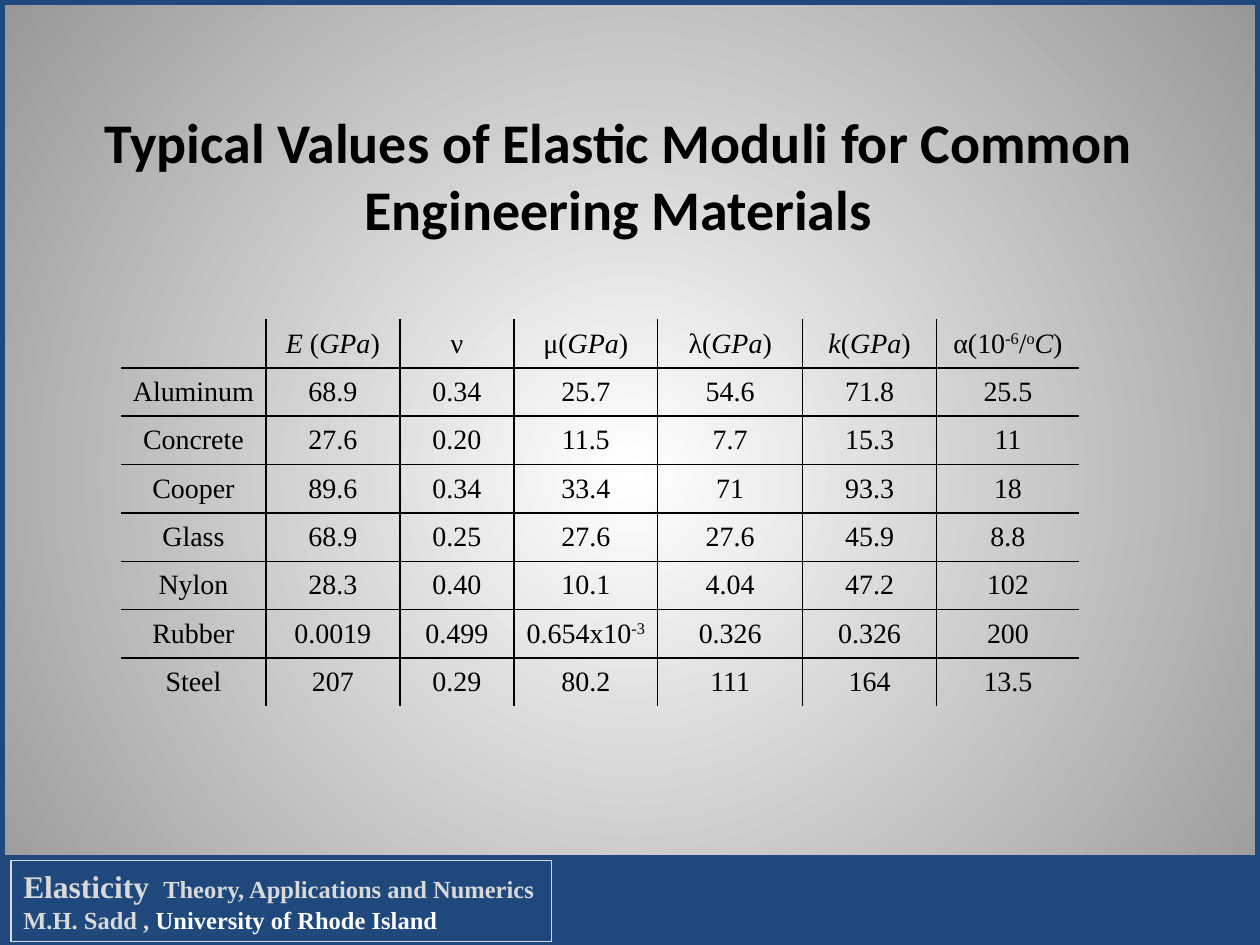
from lxml import etree
from pptx import Presentation
from pptx.dml.color import RGBColor
from pptx.enum.shapes import MSO_SHAPE
from pptx.enum.text import MSO_ANCHOR, PP_ALIGN
from pptx.oxml.ns import qn
from pptx.util import Cm, Pt

RECT = MSO_SHAPE.RECTANGLE
MIDDLE = MSO_ANCHOR.MIDDLE
LEFT, CENTER = PP_ALIGN.LEFT, PP_ALIGN.CENTER

BLACK = RGBColor(0x00, 0x00, 0x00)
WHITE = RGBColor(0xFF, 0xFF, 0xFF)
GRAY = RGBColor(0x97, 0x97, 0x97)
NAVY = RGBColor(0x1F, 0x49, 0x7D)
SILVER = RGBColor(0xD9, 0xD9, 0xD9)

SERIF = "Times New Roman"
ITALIC = {"italic": True}
SUPER = {"baseline": 30}
GPA = [("GPa", ITALIC), (")", {})]

COLUMN_WIDTHS = [2.92, 2.7, 2.3, 2.9, 2.92, 2.7, 2.88]
ROW_HEIGHT = 0.975
MODULI = [
    ["", [("E", ITALIC), (" (", {}), *GPA], "ν", [("μ(", {}), *GPA],
     [("λ(", {}), *GPA], [("k", ITALIC), ("(", {}), *GPA],
     [("α(10", {}), ("-6", SUPER), ("/", {}), ("o", SUPER), ("C", ITALIC), (")", {})]],
    ["Aluminum", "68.9", "0.34", "25.7", "54.6", "71.8", "25.5"],
    ["Concrete", "27.6", "0.20", "11.5", "7.7", "15.3", "11"],
    ["Cooper", "89.6", "0.34", "33.4", "71", "93.3", "18"],
    ["Glass", "68.9", "0.25", "27.6", "27.6", "45.9", "8.8"],
    ["Nylon", "28.3", "0.40", "10.1", "4.04", "47.2", "102"],
    ["Rubber", "0.0019", "0.499", [("0.654x10", {}), ("-3", SUPER)], "0.326", "0.326", "200"],
    ["Steel", "207", "0.29", "80.2", "111", "164", "13.5"],
]


def add_text(p, text, font=SERIF, size=16, color=BLACK, bold=False, italic=False,
             baseline=0, spacing=0, align=CENTER):
    p.alignment = align
    r = p.add_run()
    r.text = text
    r.font.name, r.font.size = font, Pt(size)
    r.font.bold, r.font.italic = bold, italic
    r.font.color.rgb = color
    if baseline:
        r.font._element.set("baseline", str(baseline * 1000))
    if spacing:
        r.font._element.set("spc", str(spacing * 100))


def set_background(s):
    fill = s.background.fill
    fill.gradient()
    for stop, color, position in zip(fill.gradient_stops, (WHITE, GRAY), (0, 1)):
        stop.color.rgb = color
        stop.position = position
    grad = s.element.find(".//" + qn("a:gradFill"))
    grad.remove(grad.find(qn("a:lin")))
    circle = etree.SubElement(grad, qn("a:path"), {"path": "circle"})
    etree.SubElement(circle, qn("a:fillToRect"), {side: "50000" for side in "ltrb"})


def add_title(s, text):
    tf = s.shapes.add_textbox(Cm(1.04), Cm(1.52), Cm(22.86), Cm(4.01)).text_frame
    tf.word_wrap = True
    tf.vertical_anchor = MIDDLE
    add_text(tf.paragraphs[0], text, font="Calibri", size=32, bold=True)


def set_borders(cell, edges):
    tc_pr = cell._tc.get_or_add_tcPr()
    for side in "LRTB":
        ln = etree.SubElement(tc_pr, qn(f"a:ln{side}"), {"w": str(Pt(1))})
        if side in edges:
            solid = etree.SubElement(ln, qn("a:solidFill"))
            etree.SubElement(solid, qn("a:srgbClr"), {"val": str(BLACK)})
        else:
            etree.SubElement(ln, qn("a:noFill"))


def fill_cell(cell, content, edges):
    set_borders(cell, edges)
    cell.fill.background()
    cell.vertical_anchor = MIDDLE
    cell.margin_left = cell.margin_right = Cm(0.18)
    cell.margin_top = cell.margin_bottom = 0
    runs = [(content, {})] if isinstance(content, str) else content
    for text, style in runs:
        add_text(cell.text_frame.paragraphs[0], text, **style)


def add_moduli_table(s):
    n_rows, n_cols = len(MODULI), len(COLUMN_WIDTHS)
    table = s.shapes.add_table(n_rows, n_cols, Cm(2.44), Cm(6.44),
                               Cm(sum(COLUMN_WIDTHS)), Cm(n_rows * ROW_HEIGHT)).table
    table.first_row = table.horz_banding = False
    for column, width in zip(table.columns, COLUMN_WIDTHS):
        column.width = Cm(width)
    for i, row in enumerate(MODULI):
        table.rows[i].height = Cm(ROW_HEIGHT)
        for j, content in enumerate(row):
            inner = {"L": j > 0, "R": j < n_cols - 1, "T": i > 0, "B": i < n_rows - 1}
            fill_cell(table.cell(i, j), content, [side for side in inner if inner[side]])


def add_box(group, left, top, width, height, line, weight, fill=None):
    sp = group.shapes.add_shape(RECT, Cm(left), Cm(top), Cm(width), Cm(height))
    sp.shadow.inherit = False
    sp.line.color.rgb, sp.line.width = line, Pt(weight)
    if fill is None:
        sp.fill.background()
    else:
        sp.fill.solid()
        sp.fill.fore_color.rgb = fill
    return sp


def add_frame(s):
    group = s.shapes.add_group_shape()
    add_box(group, 0, 0, 25.4, 19.05, NAVY, 6)
    add_box(group, 0, 17.27, 25.4, 1.78, NAVY, 2, fill=NAVY)
    tf = add_box(group, 0.22, 17.35, 10.9, 1.63, SILVER, 0.75).text_frame
    tf.word_wrap = False
    tf.vertical_anchor = MIDDLE
    book, author = tf.paragraphs[0], tf.add_paragraph()
    credit = {"bold": True, "align": LEFT}
    add_text(book, "Elasticity", size=18, color=SILVER, **credit)
    add_text(book, " ", spacing=4, color=SILVER, **credit)
    add_text(book, "Theory, Applications and Numerics", size=14, color=SILVER, **credit)
    add_text(author, "M.H. Sadd , ", size=14, color=SILVER, **credit)
    add_text(author, "University of Rhode Island", size=14, color=WHITE, **credit)


def main():
    prs = Presentation()
    prs.slide_width, prs.slide_height = Cm(25.4), Cm(19.05)
    s = prs.slides.add_slide(prs.slide_layouts[6])
    set_background(s)
    add_title(s, "Typical Values of Elastic Moduli for Common Engineering Materials")
    add_moduli_table(s)
    add_frame(s)
    prs.save("out.pptx")


if __name__ == "__main__":
    main()
